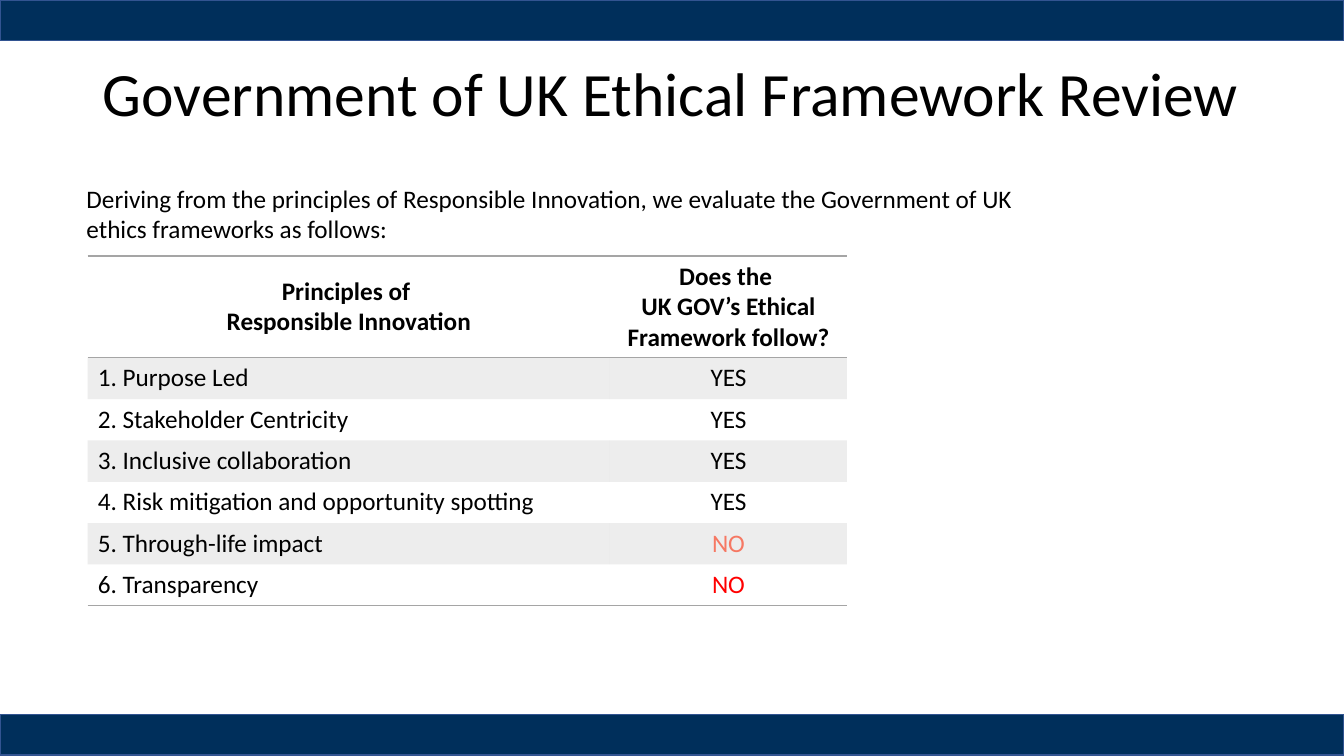
from pptx import Presentation
from pptx.dml.color import RGBColor
from pptx.enum.shapes import MSO_SHAPE as Shape
from pptx.enum.text import MSO_ANCHOR as Anchor, MSO_AUTO_SIZE as AutoSize, PP_ALIGN as Align
from pptx.oxml import parse_xml
from pptx.oxml.ns import nsdecls, qn
from pptx.util import Inches, Pt

COLOURS = {
    "black": "000000", "navy": "002F5B", "edge": "325491",
    "grey": "A5A5A5", "coral": "F67863", "red": "FF0000",
}
NO_GRID_STYLE = "{2D5ABB26-0587-4C30-8999-92F81FD0307C}"


def colour(name):
    return RGBColor.from_string(COLOURS[name])


def write(frame, text, size=18, bold=False, ink="black", align=Align.LEFT):
    para = frame.paragraphs[0]
    para.text = text
    para.alignment = align
    for span in para.runs:
        span.font.name = "Calibri"
        span.font.size = Pt(size)
        span.font.bold = bold
        span.font.color.rgb = colour(ink)
    return para


deck = Presentation()
deck.slide_width, deck.slide_height = Inches(13.33), Inches(7.5)
page = deck.slides.add_slide(deck.slide_layouts[5])

# Title
title = page.shapes.title
title.left, title.top = Inches(0.92), Inches(0.4)
title.width, title.height = Inches(11.5), Inches(1.12)
title.text_frame.vertical_anchor = Anchor.MIDDLE
heading = write(title.text_frame, "Government of UK Ethical Framework Review", size=44)
heading.line_spacing = 0.9

# Introduction
intro = page.shapes.add_textbox(Inches(0.76), Inches(1.77), Inches(9.86), Inches(0.71))
intro.text_frame.word_wrap = True
intro.text_frame.auto_size = AutoSize.SHAPE_TO_FIT_TEXT
write(intro.text_frame, "Deriving from the principles of Responsible Innovation, "
      "we evaluate the Government of UK ethics frameworks as follows:")

# Principles table: text, then the ink of the verdict
rows = [
    ("Principles of \nResponsible Innovation",
     "Does the \nUK GOV’s Ethical\nFramework follow?", "black"),
    ("1. Purpose Led", "YES", "black"),
    ("2. Stakeholder Centricity", "YES", "black"),
    ("3. Inclusive collaboration", "YES", "black"),
    ("4. Risk mitigation and opportunity spotting", "YES", "black"),
    ("5. Through-life impact", "NO", "coral"),
    ("6. Transparency", "NO", "red"),
]
frame = page.shapes.add_table(len(rows), 2, Inches(0.87), Inches(2.54),
                              Inches(7.53), Inches(3.43))
table = frame.table
table.horz_banding = False
table._tbl.tblPr.find(qn("a:tableStyleId")).text = NO_GRID_STYLE
table.columns[0].width, table.columns[1].width = Inches(5.18), Inches(2.35)

for row, (principle, verdict, ink) in enumerate(rows):
    header = row == 0
    table.rows[row].height = Inches(1.01 if header else 0.41)
    for column, text in enumerate((principle, verdict)):
        cell = table.cell(row, column)
        write(cell.text_frame, text, bold=header,
              ink=ink if column else "black",
              align=Align.CENTER if header or column else Align.LEFT)
        if header:
            cell.vertical_anchor = Anchor.MIDDLE

        # Odd rows carry a translucent grey band
        cell_format = cell._tc.get_or_add_tcPr()
        if row % 2:
            cell.fill.solid()
            cell.fill.fore_color.rgb = colour("grey")
            band = cell_format.find(".//" + qn("a:srgbClr"))
            band.append(parse_xml(f'<a:alpha {nsdecls("a")} val="20000"/>'))
        else:
            cell.fill.background()

        # Rules above and below the header, and below the last row
        sides = {0: ("lnT", "lnB"), len(rows) - 1: ("lnB",)}.get(row, ())
        for place, side in enumerate(sides):
            cell_format.insert(place, parse_xml(
                f'<a:{side} {nsdecls("a")} w="12700"><a:solidFill>'
                f'<a:srgbClr val="{COLOURS["grey"]}"/></a:solidFill></a:{side}>'))

# Bars at the top and bottom edges
for top in (0, 7.09):
    bar = page.shapes.add_shape(Shape.RECTANGLE, 0, Inches(top), deck.slide_width, Inches(0.4))
    bar.shadow.inherit = False
    bar.fill.solid()
    bar.fill.fore_color.rgb = colour("navy")
    bar.line.color.rgb = colour("edge")
    bar.line.width = Pt(1)

deck.save("out.pptx")
